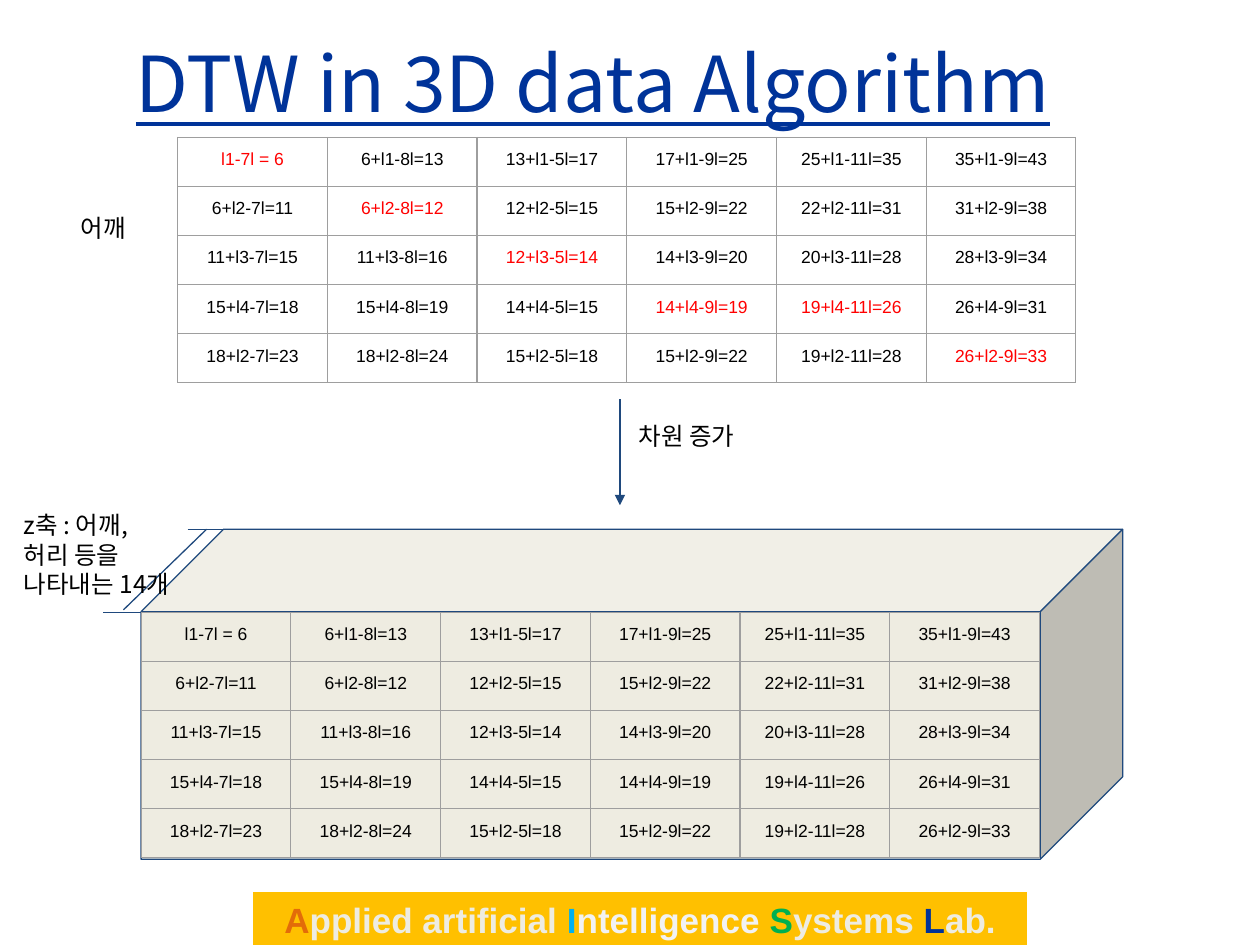
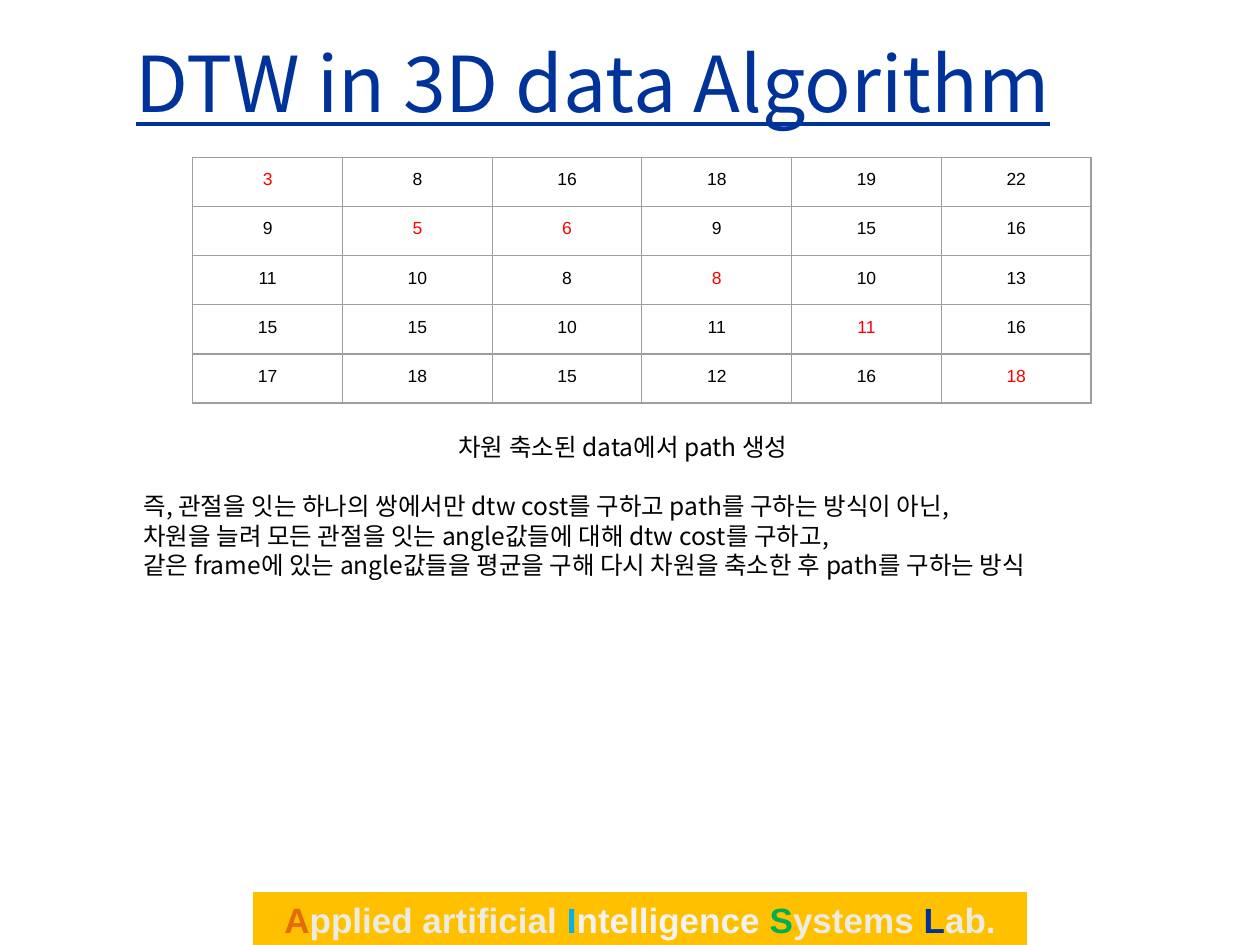
import pptx
import pptx.util
import pptx.dml.color
import pptx.enum.shapes
import pptx.enum.text
import pptx.oxml.ns
from dataclasses import dataclass
from lxml import etree


@dataclass(frozen=True)
class Theme:
    sans: str = "Arial"
    korean: str = "Noto Sans CJK KR"
    title_size: int = 44
    footer_size: int = 20
    body_size: int = 14
    cell_size: int = 10
    line_width: float = 0.75
    navy: str = "003399"
    black: str = "000000"
    red: str = "FF0000"
    band: str = "FFC000"
    sand: str = "EEECE1"
    outline: str = "1F497D"
    border: str = "9E9E9E"
    orange: str = "E36C09"
    cyan: str = "00B0F0"
    pale: str = "F2F2F2"
    green: str = "00B050"


theme = Theme()
PX = 9144  # 100 px to the inch
rgb = pptx.dml.color.RGBColor.from_string
qn = pptx.oxml.ns.qn
CENTER = pptx.enum.text.PP_ALIGN.CENTER
RECT = pptx.enum.shapes.MSO_SHAPE.RECTANGLE
CUBE = pptx.enum.shapes.MSO_SHAPE.CUBE
STRAIGHT = pptx.enum.shapes.MSO_CONNECTOR.STRAIGHT


def add_text(slide, box, text, size=theme.body_size, color=theme.black, inset=10):
    frame = slide.shapes.add_textbox(*(v * PX for v in box)).text_frame
    frame.word_wrap = True
    frame.margin_left = frame.margin_right = 10 * PX
    frame.margin_top = frame.margin_bottom = inset * PX
    frame.text = text
    for paragraph in frame.paragraphs:
        font = paragraph.runs[0].font
        font.size = pptx.util.Pt(size)
        font.name = theme.korean
        font.color.rgb = rgb(color)
        east_asian = etree.SubElement(font._element, qn("a:ea"))
        east_asian.set("typeface", theme.korean)
    return frame


def add_cost_table(slide, left, top, costs, warp_path=()):
    rows, columns = len(costs), len(costs[0])
    table = slide.shapes.add_table(rows, columns, left * PX, top * PX,
                                   713 * PX, 195 * PX).table
    table.first_row = table.horz_banding = False
    for r, row in enumerate(costs):
        for c, cost in enumerate(row):
            cell = table.cell(r, c)
            cell.margin_left = cell.margin_right = 10 * PX
            cell.margin_top = cell.margin_bottom = 10 * PX
            cell.text = cost
            paragraph = cell.text_frame.paragraphs[0]
            paragraph.alignment = CENTER
            font = paragraph.runs[0].font
            font.name = theme.sans
            font.size = pptx.util.Pt(theme.cell_size)
            font.color.rgb = rgb(theme.red if (r, c) in warp_path else theme.black)
            properties = cell._tc.get_or_add_tcPr()
            for side in ("a:lnL", "a:lnR", "a:lnT", "a:lnB"):
                edge = etree.SubElement(properties, qn(side))
                edge.set("w", str(pptx.util.Pt(theme.line_width)))
                fill = etree.SubElement(edge, qn("a:solidFill"))
                etree.SubElement(fill, qn("a:srgbClr")).set("val", theme.border)
            cell.fill.background()


presentation = pptx.Presentation()
presentation.slide_width = 1000 * PX
presentation.slide_height = 750 * PX

# Footer band and title, shared by both slides
lab_name = [
    ("A", theme.orange), ("pplied artificial ", theme.sand),
    ("I", theme.cyan), ("ntelligence ", theme.pale),
    ("S", theme.green), ("ystems ", theme.sand),
    ("L", theme.navy), ("ab.", theme.sand),
]
for number in range(2):
    slide = presentation.slides.add_slide(presentation.slide_layouts[6])
    footer = slide.shapes.add_shape(RECT, 201 * PX, 708 * PX, 614 * PX, 44 * PX)
    footer.shadow.inherit = False
    footer.fill.solid()
    footer.fill.fore_color.rgb = rgb(theme.band)
    footer.line.fill.background()
    lab_line = footer.text_frame.paragraphs[0]
    lab_line.alignment = CENTER
    for part, color in lab_name:
        run = lab_line.add_run()
        run.text = part
        run.font.name = theme.sans
        run.font.size = pptx.util.Pt(theme.footer_size)
        run.font.bold = True
        run.font.color.rgb = rgb(color)

    title = add_text(slide, (98, 2, 844, 125), "DTW in 3D data Algorithm",
                     theme.title_size, theme.navy, inset=5)
    title.vertical_anchor = pptx.enum.text.MSO_ANCHOR.MIDDLE
    title.paragraphs[0].runs[0].font.underline = True

expansion, reduction = presentation.slides

# Slide 1: cube of cost tables
cube = expansion.shapes.add_shape(CUBE, 112 * PX, 420 * PX, 779 * PX, 262 * PX)
cube.shadow.inherit = False
cube.fill.solid()
cube.fill.fore_color.rgb = rgb(theme.sand)
cube.line.color.rgb = rgb(theme.outline)
cube.line.width = pptx.util.Pt(theme.line_width)

shoulder_costs = [
    ["l1-7l = 6", "6+l1-8l=13", "13+l1-5l=17", "17+l1-9l=25", "25+l1-11l=35", "35+l1-9l=43"],
    ["6+l2-7l=11", "6+l2-8l=12", "12+l2-5l=15", "15+l2-9l=22", "22+l2-11l=31", "31+l2-9l=38"],
    ["11+l3-7l=15", "11+l3-8l=16", "12+l3-5l=14", "14+l3-9l=20", "20+l3-11l=28", "28+l3-9l=34"],
    ["15+l4-7l=18", "15+l4-8l=19", "14+l4-5l=15", "14+l4-9l=19", "19+l4-11l=26", "26+l4-9l=31"],
    ["18+l2-7l=23", "18+l2-8l=24", "15+l2-5l=18", "15+l2-9l=22", "19+l2-11l=28", "26+l2-9l=33"],
]
add_cost_table(expansion, 112, 486, shoulder_costs)
add_cost_table(expansion, 141, 109, shoulder_costs,
               {(0, 0), (1, 1), (2, 2), (3, 3), (3, 4), (4, 5)})

# Slide 1: arrow to the cube, then the depth measure of the z axis
for *ends, has_arrowhead in [
    (492, 317, 492, 401, True),
    (149, 420, 178, 420, False),
    (82, 486, 112, 486, False),
    (98, 484, 164, 420, False),
]:
    line = expansion.shapes.add_connector(STRAIGHT, *(v * PX for v in ends))
    line.line.color.rgb = rgb(theme.outline)
    line.line.width = pptx.util.Pt(theme.line_width)
    if has_arrowhead:
        arrowhead = etree.SubElement(line.line._get_or_add_ln(), qn("a:tailEnd"))
        arrowhead.set("type", "triangle")
    etree.SubElement(line._element.spPr, qn("a:effectLst"))

# Slide 1: labels
add_text(expansion, (497, 324, 258, 44), "차원 증가")
add_text(expansion, (9, 395, 176, 114), "z축 : 어깨,\n허리 등을\n나타내는 14개")
add_text(expansion, (54, 159, 85, 44), "어깨")

# Slide 2: reduced cost table
mean_costs = [
    ["3", "8", "16", "18", "19", "22"],
    ["9", "5", "6", "9", "15", "16"],
    ["11", "10", "8", "8", "10", "13"],
    ["15", "15", "10", "11", "11", "16"],
    ["17", "18", "15", "12", "16", "18"],
]
add_cost_table(reduction, 153, 125, mean_costs,
               {(0, 0), (1, 1), (1, 2), (2, 3), (3, 4), (4, 5)})

# Slide 2: explanation under an indented caption
explanation = add_text(reduction, (104, 333, 804, 162), "\n".join([
    "차원 축소된 data에서 path 생성",
    "즉, 관절을 잇는 하나의 쌍에서만 dtw cost를 구하고 path를 구하는 방식이 아닌,",
    "차원을 늘려 모든 관절을 잇는 angle값들에 대해 dtw cost를 구하고,",
    "같은 frame에 있는 angle값들을 평균을 구해 다시 차원을 축소한 후 path를 구하는 방식",
]))
caption = explanation.paragraphs[0]
caption.space_after = pptx.util.Pt(17)
caption_layout = caption._p.get_or_add_pPr()
caption_layout.set("marL", str(200 * PX))
caption_layout.set("indent", str(50 * PX))

presentation.save("out.pptx")
